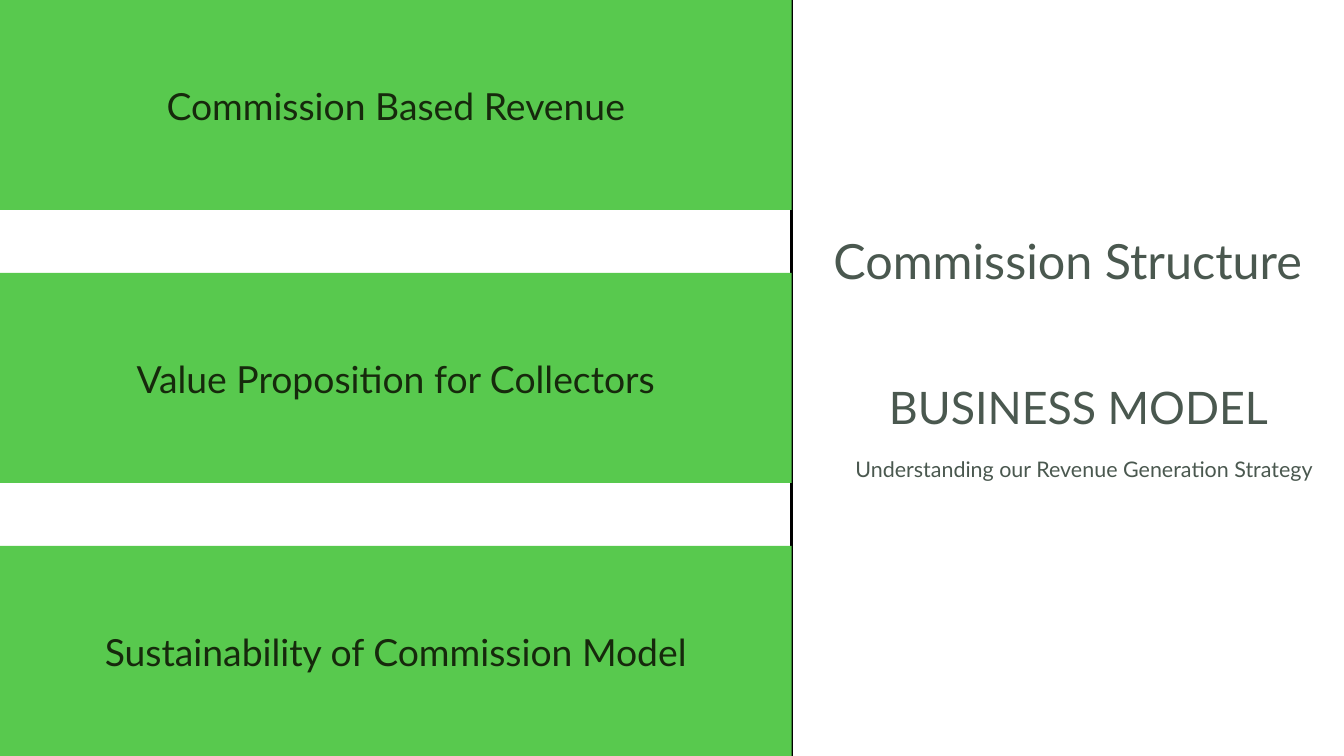
from dataclasses import dataclass

from pptx import Presentation
from pptx.dml.color import RGBColor
from pptx.enum.shapes import MSO_CONNECTOR, MSO_SHAPE
from pptx.enum.text import MSO_ANCHOR, PP_ALIGN
from pptx.oxml.ns import qn
from pptx.util import Cm, Pt


@dataclass(frozen=True)
class Theme:
    font: str = "Lato"
    band: RGBColor = RGBColor(0x58, 0xC9, 0x4E)
    band_text: RGBColor = RGBColor(0x16, 0x29, 0x0C)
    heading: RGBColor = RGBColor(0x4A, 0x58, 0x4F)
    rule: RGBColor = RGBColor(0, 0, 0)
    title_size: float = 52
    model_size: float = 48
    band_size: float = 40
    subtitle_size: float = 23
    leading: float = 1.4


@dataclass(frozen=True)
class Label:
    text: str
    x: float
    y: float
    w: float
    h: float
    size: float
    color: RGBColor
    align: PP_ALIGN = PP_ALIGN.CENTER


THEME = Theme()

# Page grid, in centimetres
PAGE_W, PAGE_H = 50.8, 28.58
BAND_W, BAND_H = 29.92, 7.94
TOPICS = [
    "Commission Based Revenue",
    "Value Proposition for Collectors",
    "Sustainability of Commission Model",
]
PITCH = (PAGE_H - BAND_H) / (len(TOPICS) - 1)
TOPIC_OFFSET, TOPIC_H = 2.87, 1.93

HEADINGS = [
    Label("BUSINESS MODEL", 33.6, 14.02, 16.18, 2.29,
          THEME.model_size, THEME.heading, PP_ALIGN.LEFT),
    Label("Commission Structure", BAND_W, 8.36, PAGE_W - BAND_W, 5.08,
          THEME.title_size, THEME.heading),
    Label("Understanding our Revenue Generation Strategy", 31.17, 17.07, 19.63, 2.21,
          THEME.subtitle_size, THEME.heading),
]


def add_rule(s, x: float) -> None:
    line = s.shapes.add_connector(MSO_CONNECTOR.STRAIGHT, Cm(x), 0, Cm(x), Cm(PAGE_H))
    line.line.color.rgb = THEME.rule
    line.line.width = Pt(3)
    sp_pr = line._element.spPr
    sp_pr.append(sp_pr.makeelement(qn("a:effectLst"), {}))


def add_band(s, y: float) -> None:
    sp = s.shapes.add_shape(MSO_SHAPE.RECTANGLE, 0, Cm(y), Cm(BAND_W), Cm(BAND_H))
    sp.shadow.inherit = False
    sp.fill.solid()
    sp.fill.fore_color.rgb = THEME.band
    sp.line.fill.background()


def add_label(s, label: Label) -> None:
    sp = s.shapes.add_textbox(Cm(label.x), Cm(label.y), Cm(label.w), Cm(label.h))
    tf = sp.text_frame
    frame_format = {"word_wrap": True, "vertical_anchor": MSO_ANCHOR.TOP,
                    "margin_left": 0, "margin_right": 0,
                    "margin_top": 0, "margin_bottom": 0}
    for name, value in frame_format.items():
        setattr(tf, name, value)
    p = tf.paragraphs[0]
    p.alignment = label.align
    p.line_spacing = Pt(label.size * THEME.leading)
    r = p.add_run()
    r.text = label.text
    for name, value in {"name": THEME.font, "size": Pt(label.size)}.items():
        setattr(r.font, name, value)
    r.font.color.rgb = label.color


def main() -> None:
    prs = Presentation()
    prs.slide_width, prs.slide_height = Cm(PAGE_W), Cm(PAGE_H)
    s = prs.slides.add_slide(prs.slide_layouts[6])

    # Divider, partly covered by the bands
    add_rule(s, BAND_W)

    # Topic bands on the left
    for i, topic in enumerate(TOPICS):
        y = i * PITCH
        add_band(s, y)
        add_label(s, Label(topic, 0, y + TOPIC_OFFSET, BAND_W, TOPIC_H,
                           THEME.band_size, THEME.band_text))

    # Headings on the right
    for heading in HEADINGS:
        add_label(s, heading)

    prs.save("out.pptx")


if __name__ == "__main__":
    main()
